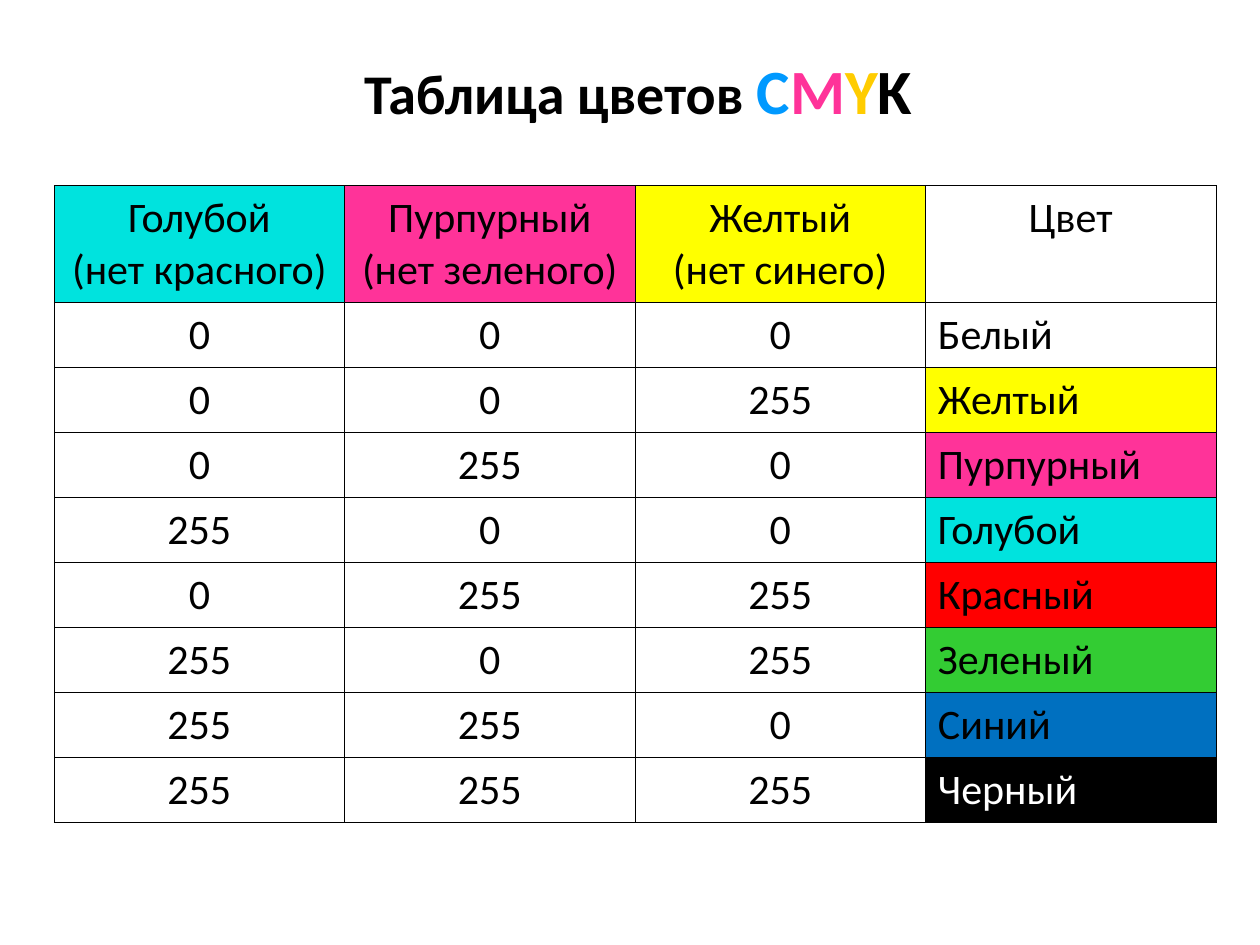
from dataclasses import dataclass
from typing import NamedTuple

from lxml import etree
from pptx import Presentation, util as u
from pptx.dml.color import RGBColor
from pptx.enum import text
from pptx.oxml import ns


@dataclass(frozen=True)
class Theme:
    font: str = "Calibri"
    title_size: int = 32
    letter_size: int = 36
    table_size: int = 24
    line_spacing: float = 1.02
    border_width: float = 0.23
    black: str = "000000"
    white: str = "FFFFFF"
    cyan: str = "00E3DE"
    magenta: str = "FF3399"
    yellow: str = "FFFF00"
    red: str = "FF0000"
    green: str = "33CC33"
    blue: str = "0070C0"
    title_cyan: str = "0099FF"
    title_yellow: str = "FFCC00"


class Header(NamedTuple):
    label: str
    fill: str


class Mix(NamedTuple):
    cyan: int
    magenta: int
    yellow: int
    name: str
    fill: str


class Box(NamedTuple):
    """Left, top, width and height in inches."""
    left: float
    top: float
    width: float
    height: float


THEME = Theme()
SLIDE_WIDTH, SLIDE_HEIGHT = 10, 7.5
TITLE_BOX = Box(2.77, 0.36, 4.59, 0.7)
TABLE_BOX = Box(0.43, 1.47, 9.22, 5.06)
HEADER_HEIGHT = 0.93

TITLE_LETTERS = [("С", THEME.title_cyan), ("M", THEME.magenta),
                 ("Y", THEME.title_yellow), ("K", THEME.black)]
HEADERS = [
    Header("Голубой\n(нет красного)", THEME.cyan),
    Header("Пурпурный\n(нет зеленого)", THEME.magenta),
    Header("Желтый\n(нет синего)", THEME.yellow),
    Header("Цвет", THEME.white),
]
MIXES = [
    Mix(0, 0, 0, "Белый", THEME.white),
    Mix(0, 0, 255, "Желтый", THEME.yellow),
    Mix(0, 255, 0, "Пурпурный", THEME.magenta),
    Mix(255, 0, 0, "Голубой", THEME.cyan),
    Mix(0, 255, 255, "Красный", THEME.red),
    Mix(255, 0, 255, "Зеленый", THEME.green),
    Mix(255, 255, 0, "Синий", THEME.blue),
    Mix(255, 255, 255, "Черный", THEME.black),
]


def color(value: str) -> RGBColor:
    return RGBColor.from_string(value)


def in_emu(box: Box) -> list[int]:
    return [u.Inches(length) for length in box]


def add_title(slide) -> None:
    title = slide.shapes.title
    title.left, title.top, title.width, title.height = in_emu(TITLE_BOX)
    frame = title.text_frame
    frame.word_wrap = False
    frame.auto_size = text.MSO_AUTO_SIZE.SHAPE_TO_FIT_TEXT
    frame.vertical_anchor = text.MSO_ANCHOR.TOP
    paragraph = frame.paragraphs[0]
    paragraph.alignment = text.PP_ALIGN.CENTER
    paragraph.font.name = THEME.font
    paragraph.font.bold = True
    parts = [("Таблица цветов ", THEME.black, THEME.title_size)]
    parts += [(letter, ink, THEME.letter_size) for letter, ink in TITLE_LETTERS]
    for wording, ink, size in parts:
        run = paragraph.add_run()
        run.text = wording
        run.font.size = u.Pt(size)
        run.font.color.rgb = color(ink)


def add_borders(cell) -> None:
    properties = cell._tc.get_or_add_tcPr()
    for side in ("a:lnL", "a:lnR", "a:lnT", "a:lnB"):
        line = etree.SubElement(properties, ns.qn(side),
                                w=str(u.Pt(THEME.border_width)))
        fill = etree.SubElement(line, ns.qn("a:solidFill"))
        etree.SubElement(fill, ns.qn("a:srgbClr"), val=THEME.black)


def fill_cell(cell, wording: str, fill: str, centered: bool) -> None:
    add_borders(cell)
    cell.fill.solid()
    cell.fill.fore_color.rgb = color(fill)
    cell.text = wording
    ink = THEME.white if fill == THEME.black else THEME.black
    for paragraph in cell.text_frame.paragraphs:
        paragraph.alignment = (text.PP_ALIGN.CENTER if centered
                               else text.PP_ALIGN.LEFT)
        paragraph.line_spacing = THEME.line_spacing
        paragraph.font.name = THEME.font
        paragraph.font.size = u.Pt(THEME.table_size)
        paragraph.font.color.rgb = color(ink)


def add_color_table(slide) -> None:
    table = slide.shapes.add_table(len(MIXES) + 1, len(HEADERS),
                                   *in_emu(TABLE_BOX)).table
    table.first_row = table.horz_banding = False
    for column in table.columns:
        column.width = u.Inches(TABLE_BOX.width / len(HEADERS))
    mix_height = (TABLE_BOX.height - HEADER_HEIGHT) / len(MIXES)
    for index, row in enumerate(table.rows):
        row.height = u.Inches(mix_height if index else HEADER_HEIGHT)

    for column, header in enumerate(HEADERS):
        fill_cell(table.cell(0, column), header.label, header.fill, True)
    for row, mix in enumerate(MIXES, start=1):
        for column, amount in enumerate((mix.cyan, mix.magenta, mix.yellow)):
            fill_cell(table.cell(row, column), str(amount), THEME.white, True)
        fill_cell(table.cell(row, len(HEADERS) - 1), mix.name, mix.fill, False)


def main() -> None:
    presentation = Presentation()
    presentation.slide_width = u.Inches(SLIDE_WIDTH)
    presentation.slide_height = u.Inches(SLIDE_HEIGHT)
    title_only = presentation.slide_layouts.get_by_name("Title Only")
    slide = presentation.slides.add_slide(title_only)
    add_title(slide)
    add_color_table(slide)
    presentation.save("out.pptx")


if __name__ == "__main__":
    main()
